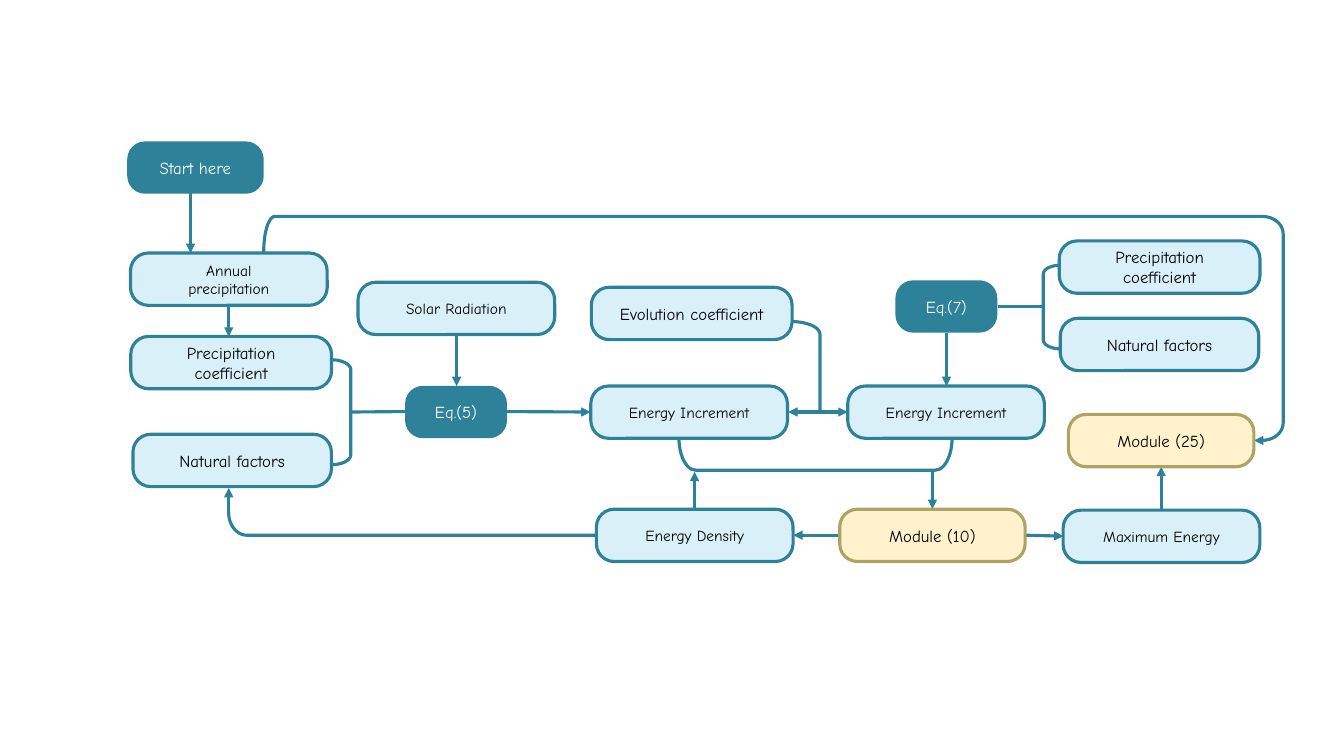
import math
import pptx
import pptx.util
import pptx.dml.color
import pptx.enum.shapes
import pptx.enum.text
import pptx.oxml.ns
import lxml.etree

Pt = pptx.util.Pt
RGB = pptx.dml.color.RGBColor.from_string
qn = pptx.oxml.ns.qn
kinds = pptx.enum.shapes.MSO_SHAPE
straight = pptx.enum.shapes.MSO_CONNECTOR.STRAIGHT
middle = pptx.enum.text.MSO_ANCHOR.MIDDLE
center = pptx.enum.text.PP_ALIGN.CENTER

hues = {"teal": "2D8199", "ice": "DAF0F8", "cream": "FFF2CD",
        "olive": "ADA464", "black": "000000", "white": "FFFFFF"}
looks = {"step": ("ice", "teal", "black"),
         "key": ("teal", None, "white"),
         "module": ("cream", "olive", "black")}
frame = {"word_wrap": True, "vertical_anchor": middle}

deck = pptx.Presentation()
deck.slide_width, deck.slide_height = Pt(960), Pt(540)
slide = deck.slides.add_slide(deck.slide_layouts[6])
shapes = slide.shapes


def stroke(item, hue="teal"):
    item.line.color.rgb = RGB(hues[hue])
    item.line.width = Pt(2.25)


def bend(before, corner, after):
    x, y, rx, ry = corner
    ends = []
    for px, py in (before[:2], after[:2]):
        dx, dy = px - x, py - y
        ends.append((math.copysign(rx, dx) if abs(dx) > abs(dy) else 0,
                     math.copysign(ry, dy) if abs(dy) >= abs(dx) else 0))
    (ax, ay), (bx, by) = ends
    turn = [math.pi / 2 * i / 12 for i in range(13)]
    return [(x + ax * (1 - math.sin(t)) + bx * (1 - math.cos(t)),
             y + ay * (1 - math.sin(t)) + by * (1 - math.cos(t))) for t in turn]


routes = [
    [(565.2, 229.7), (585.7, 229.7, 20.5, 9), (585.7, 294.2)],
    [(426, 382.3), (163.4, 382.3, 13, 16), (163.4, 366)],
    [(188.4, 180), (188.4, 154.6, 8, 25), (916.6, 154.6, 15, 12.5),
     (916.6, 314.6, 15, 12.5), (900, 314.6)],
]
for route in routes:
    dots = [route[0]]
    for before, corner, after in zip(route, route[1:], route[2:]):
        dots += bend(before, corner, after)
    dots = [(Pt(x), Pt(y)) for x, y in dots + [route[-1]]]
    pen = shapes.build_freeform(*dots[0], scale=1.0)
    pen.add_line_segments(dots[1:], close=False)
    curve = pen.convert_to_shape()
    curve.shadow.inherit = False
    curve.fill.background()
    stroke(curve)

brackets = [
    (236.9, 257, 13.7, 75, 0),
    (745.2, 189.4, 12.2, 59.8, 180),
    (571, 226.8, 23, 195.1, 90),
]
for x, y, w, h, angle in brackets:
    bracket = shapes.add_shape(kinds.RIGHT_BRACKET, Pt(x), Pt(y), Pt(w), Pt(h))
    bracket.adjustments[0] = 0.52
    bracket.rotation = angle
    bracket.shadow.inherit = False
    bracket.fill.background()
    stroke(bracket)

links = [
    (250.6, 294.3, 289.4, 294, ""),
    (326.2, 239, 326.2, 275.8, "tail"),
    (163.4, 218.2, 163.4, 240.5, "tail"),
    (362.2, 294, 421.9, 294.3, "tail"),
    (745.2, 219, 712.8, 219, ""),
    (676.1, 237.6, 676.1, 275.8, "tail"),
    (605.5, 294.3, 563, 294.3, "head tail"),
    (666, 337, 666, 363.6, "tail"),
    (496.1, 363.6, 496.1, 337, "tail"),
    (599.8, 382.3, 566.6, 382.3, "tail"),
    (163.4, 368, 163.4, 348.5, "tail"),
    (136.1, 132.5, 136.1, 180.7, "tail"),
    (732.2, 382.3, 759.6, 383, "tail"),
    (829.4, 365, 829.4, 333.4, "tail"),
    (901.4, 314.6, 895.7, 314.6, "tail"),
]
for x, y, u, v, tips in links:
    link = shapes.add_connector(straight, Pt(x), Pt(y), Pt(u), Pt(v))
    stroke(link)
    edge = link.line._get_or_add_ln()
    for tip in tips.split():
        lxml.etree.SubElement(edge, qn(f"a:{tip}End"), type="triangle")
    lxml.etree.SubElement(link._element.spPr, qn("a:effectLst"))

boxes = [
    ("Start here", 90.9, 101, 97.5, "key", 12),
    ("Annual\nprecipitation", 93.2, 180.7, 140.5, "step", 11),
    ("Precipitation\vcoefficient", 93.4, 240.3, 143.4, "step", 12),
    ("Natural factors", 95, 310.2, 141.8, "step", 12),
    ("Solar Radiation", 255.7, 201.6, 140.5, "step", 11),
    ("Eq.(5)", 289.4, 275.6, 72.8, "key", 12),
    ("Evolution coefficient", 422.4, 205.2, 143.4, "step", 12),
    ("Energy Increment", 422, 275.7, 140.5, "step", 11),
    ("Energy Increment", 605.5, 275.7, 140.5, "step", 11),
    ("Eq.(7)", 639.6, 200.2, 72.8, "key", 12),
    ("Precipitation\vcoefficient", 756.6, 172.1, 143.4, "step", 12),
    ("Natural factors", 757.4, 227.3, 141.8, "step", 12),
    ("Module (25)", 763.2, 296, 132.5, "module", 12),
    ("Energy Density", 426, 363.7, 140.5, "step", 11),
    ("Module (10)", 599.8, 363.7, 132.5, "module", 12),
    ("Maximum Energy", 759.4, 364.4, 140.5, "step", 11),
]
for words, x, y, w, look, size in boxes:
    fill, rim, ink = looks[look]
    box = shapes.add_shape(kinds.ROUNDED_RECTANGLE, Pt(x), Pt(y), Pt(w), Pt(37.4))
    box.adjustments[0] = 0.34
    box.shadow.inherit = False
    box.fill.solid()
    box.fill.fore_color.rgb = RGB(hues[fill])
    if rim:
        stroke(box, rim)
    else:
        box.line.fill.background()
    text = box.text_frame
    for name, value in frame.items():
        setattr(text, name, value)
    text.text = words
    for para in text.paragraphs:
        para.alignment = center
        for run in para.runs:
            for name, value in {"name": "Comic Neue", "size": Pt(size)}.items():
                setattr(run.font, name, value)
            run.font.color.rgb = RGB(hues[ink])

deck.save("out.pptx")
